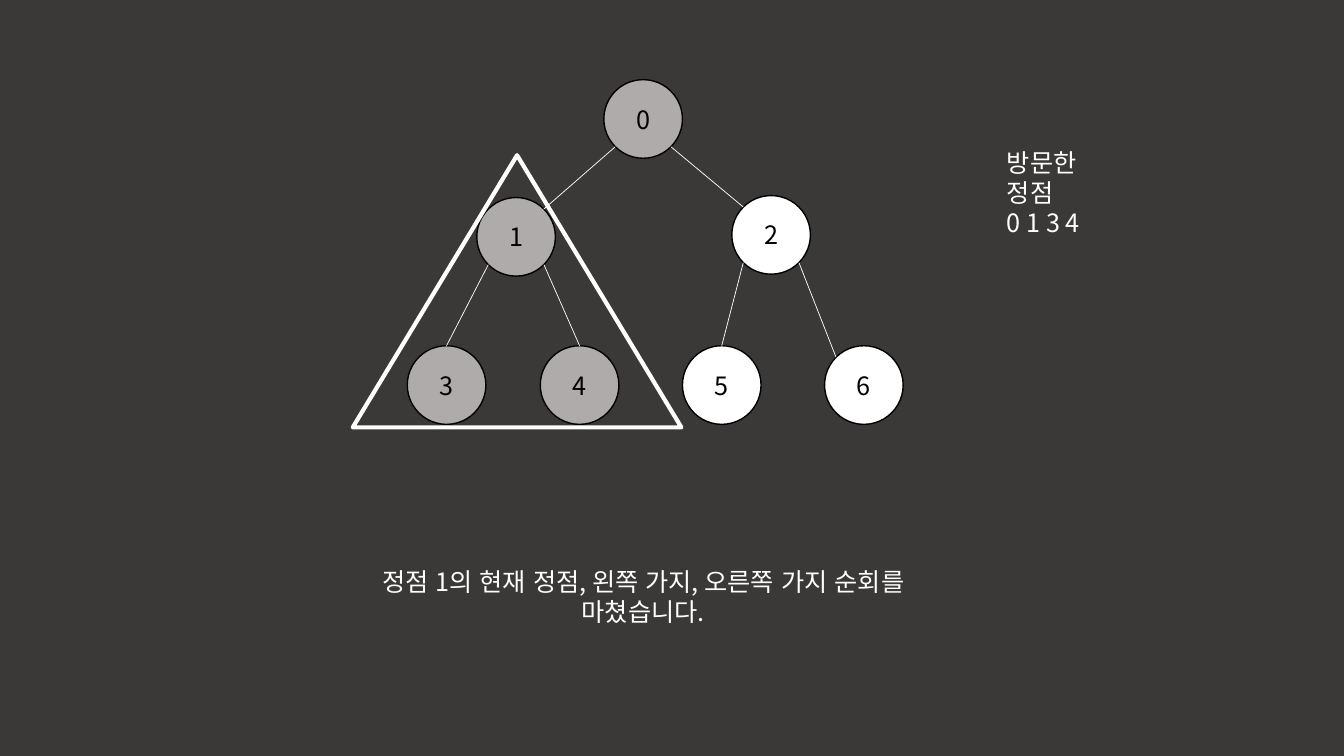
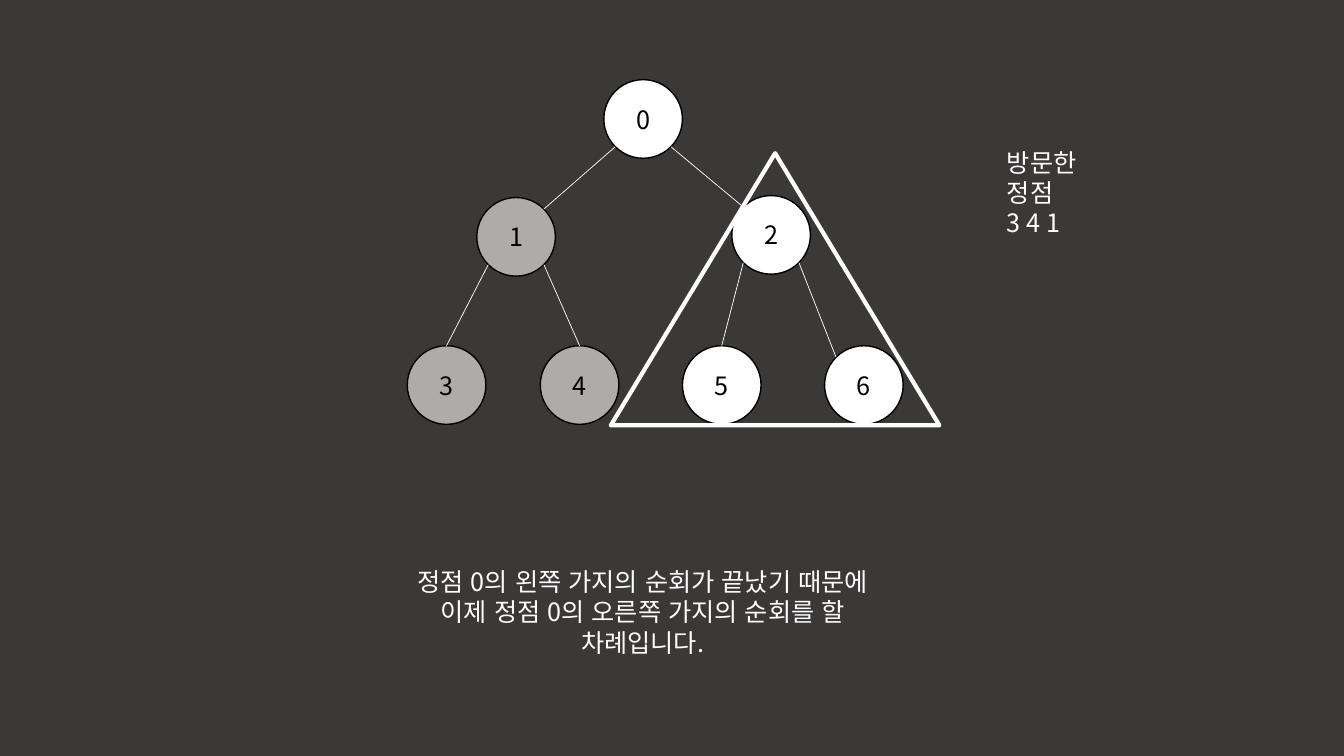
from dataclasses import dataclass

import pptx
import pptx.dml.color
import pptx.enum.lang
import pptx.enum.shapes
import pptx.enum.text
import pptx.oxml
import pptx.oxml.ns
import pptx.util

# Shared look
FONT = "Noto Sans CJK KR"
BACKGROUND, VISITED, WHITE, BLACK = "3B3838", "AFABAB", "FFFFFF", "000000"
TEXT_SIZE = 18

# Grid of square cells: 75 rows fill the height of the slide
COLUMNS, ROWS = 133.33, 75
CELL = pptx.util.Inches(7.5) / ROWS
DIAMETER = 7.8
TRIANGLE_WIDTH, TRIANGLE_HEIGHT = 32.6, 27

# Points on a node's rim, as shares of its diameter
NEAR, FAR = 0.146, 0.854
TOP, TOP_LEFT, TOP_RIGHT = (0.5, 0), (NEAR, NEAR), (FAR, NEAR)
BOTTOM_LEFT, BOTTOM_RIGHT = (NEAR, FAR), (FAR, FAR)


@dataclass(frozen=True)
class Edge:
    parent: int
    parent_site: tuple[float, float]
    child: int
    child_site: tuple[float, float]


@dataclass(frozen=True)
class Step:
    shaded: set[int]
    triangle: tuple[float, float]
    caption: list[str]
    caption_column: float
    caption_width: float
    visited: str


# Left column and top row of each node, by its number
NODES = [(59.9, 7.9), (47.3, 19.6), (72.6, 19.4),
         (40.4, 34.3), (53.6, 34.3), (67.7, 34.3), (81.8, 34.3)]

EDGES = [
    Edge(0, BOTTOM_LEFT, 1, TOP_RIGHT),
    Edge(0, BOTTOM_RIGHT, 2, TOP_LEFT),
    Edge(1, BOTTOM_LEFT, 3, TOP),
    Edge(1, BOTTOM_RIGHT, 4, TOP),
    Edge(2, BOTTOM_LEFT, 5, TOP),
    Edge(2, BOTTOM_RIGHT, 6, TOP_LEFT),
]

STEPS = [
    Step({0, 1, 3, 4}, (35, 15.4),
         ["정점 1의 현재 정점, 왼쪽 가지, 오른쪽 가지 순회를 마쳤습니다."],
         31.2, 65.2, "0 1 3 4"),
    Step({1, 3, 4}, (60.6, 15.2),
         ["정점 0의 왼쪽 가지의 순회가 끝났기 때문에",
          "이제 정점 0의 오른쪽 가지의 순회를 할 차례입니다."],
         37, 53.5, "3 4 1"),
]


def color(value: str) -> pptx.dml.color.RGBColor:
    return pptx.dml.color.RGBColor.from_string(value)


def cells(*counts: float) -> list[pptx.util.Emu]:
    return [pptx.util.Emu(round(count * CELL)) for count in counts]


def write(frame, lines: list[str], *, ink: str = WHITE, centered: bool = False) -> None:
    """Fill a text frame with one paragraph per line."""
    frame.word_wrap = True
    for index, line in enumerate(lines):
        para = frame.paragraphs[0] if index == 0 else frame.add_paragraph()
        if centered:
            para.alignment = pptx.enum.text.PP_ALIGN.CENTER
        span = para.add_run()
        span.text = line
        span.font.name = FONT
        span.font.size = pptx.util.Pt(TEXT_SIZE)
        span.font.color.rgb = color(ink)
        span.font.language_id = pptx.enum.lang.MSO_LANGUAGE_ID.KOREAN
        east_asian = pptx.oxml.parse_xml(
            f'<a:ea {pptx.oxml.ns.nsdecls("a")} typeface="{FONT}"/>')
        span.font._element.find(pptx.oxml.ns.qn("a:latin")).addnext(east_asian)


def add_text(page, lines: list[str], column: float, row: float,
             width: float, height: float, *, centered: bool = False) -> None:
    box = page.shapes.add_textbox(*cells(column, row, width, height))
    write(box.text_frame, lines, centered=centered)
    box.text_frame.auto_size = pptx.enum.text.MSO_AUTO_SIZE.SHAPE_TO_FIT_TEXT


def add_node(page, number: int, fill: str) -> None:
    node = page.shapes.add_shape(pptx.enum.shapes.MSO_SHAPE.OVAL,
                                 *cells(*NODES[number], DIAMETER, DIAMETER))
    node.shadow.inherit = False
    node.fill.solid()
    node.fill.fore_color.rgb = color(fill)
    node.line.color.rgb = color(BLACK)
    node.line.width = pptx.util.Pt(1)
    node.text_frame.vertical_anchor = pptx.enum.text.MSO_ANCHOR.MIDDLE
    write(node.text_frame, [str(number)], ink=BLACK, centered=True)


def rim_point(number: int, site: tuple[float, float]) -> list[pptx.util.Emu]:
    return cells(*(start + share * DIAMETER
                   for start, share in zip(NODES[number], site)))


def add_edge(page, edge: Edge) -> None:
    line = page.shapes.add_connector(
        pptx.enum.shapes.MSO_CONNECTOR.STRAIGHT,
        *rim_point(edge.parent, edge.parent_site),
        *rim_point(edge.child, edge.child_site))
    line.line.color.rgb = color(WHITE)
    line.line.width = pptx.util.Pt(0.5)
    line._element.spPr.append(pptx.oxml.parse_xml(
        f'<a:effectLst {pptx.oxml.ns.nsdecls("a")}/>'))


def add_triangle(page, column: float, row: float) -> None:
    triangle = page.shapes.add_shape(
        pptx.enum.shapes.MSO_SHAPE.ISOSCELES_TRIANGLE,
        *cells(column, row, TRIANGLE_WIDTH, TRIANGLE_HEIGHT))
    triangle.shadow.inherit = False
    triangle.fill.background()
    triangle.line.color.rgb = color(WHITE)
    triangle.line.width = pptx.util.Pt(3)


def add_step(deck, step: Step) -> None:
    page = deck.slides.add_slide(deck.slide_layouts.get_by_name("Blank"))
    # Tree
    for number in range(len(NODES)):
        add_node(page, number, VISITED if number in step.shaded else WHITE)
    for edge in EDGES:
        add_edge(page, edge)
    # Explanation and visited nodes
    add_text(page, step.caption, step.caption_column, 55.7,
             step.caption_width, 7.1, centered=True)
    add_text(page, ["방문한 정점", step.visited], 98.9, 14.1, 13.8, 10.1)
    # Current subtree
    add_triangle(page, *step.triangle)


def main() -> None:
    deck = pptx.Presentation()
    deck.slide_width, deck.slide_height = cells(COLUMNS, ROWS)
    backdrop = deck.slide_master.background.fill
    backdrop.solid()
    backdrop.fore_color.rgb = color(BACKGROUND)
    for step in STEPS:
        add_step(deck, step)
    deck.save("out.pptx")


if __name__ == "__main__":
    main()
